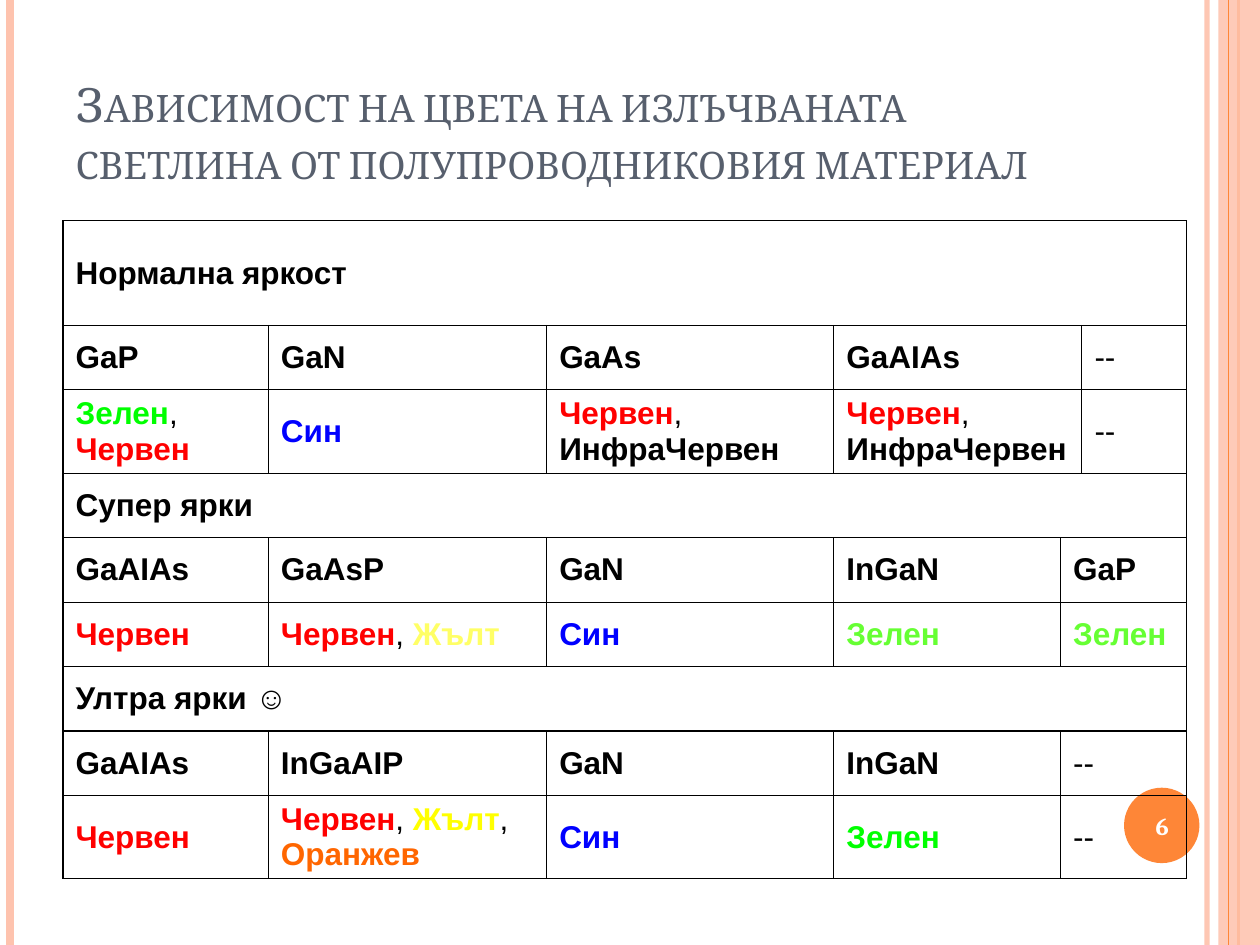
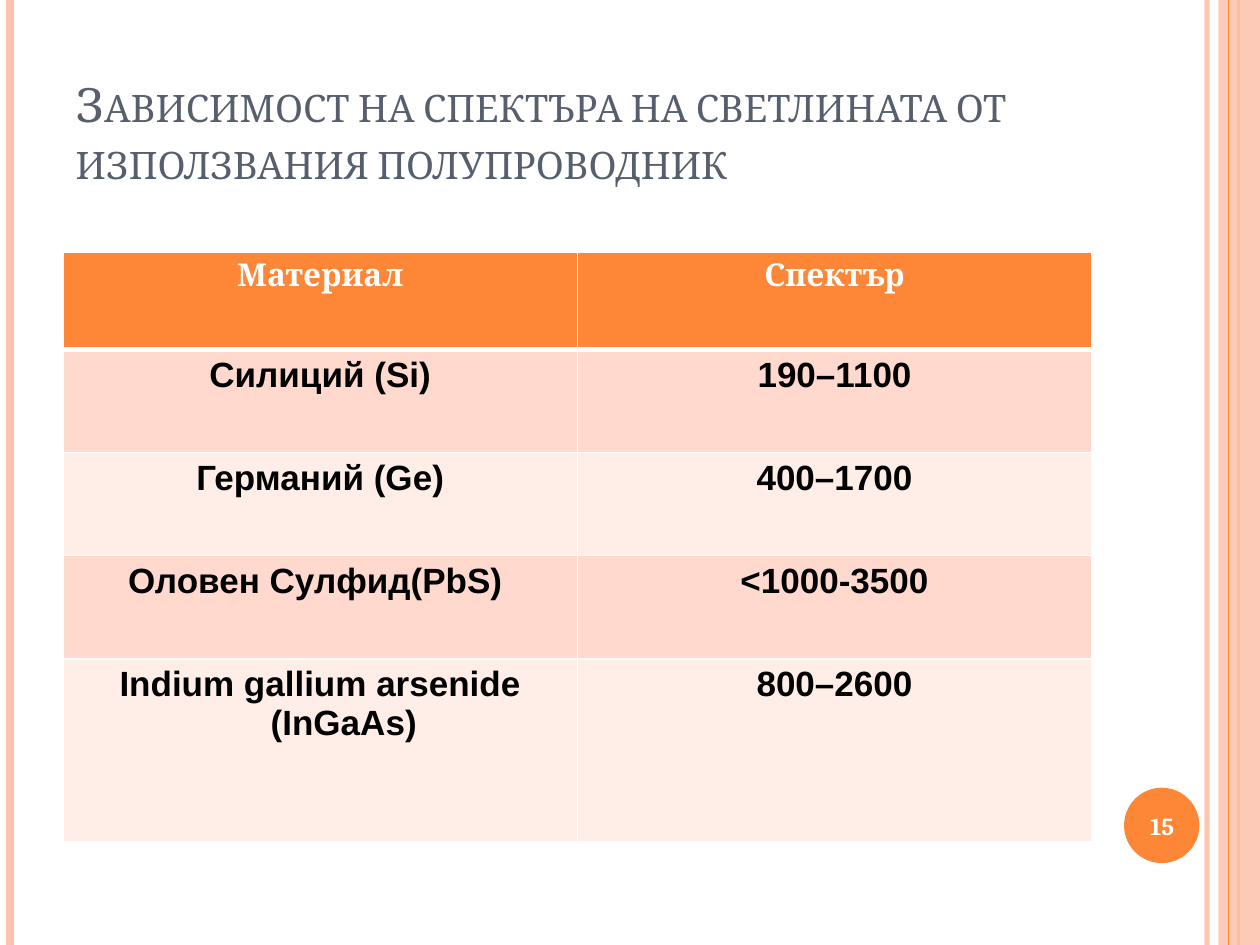
import pptx
import pptx.util
import pptx.dml.color
import pptx.enum.shapes
import pptx.enum.text
import pptx.oxml.ns
from lxml import etree

Cm = pptx.util.Cm
Pt = pptx.util.Pt
qn = pptx.oxml.ns.qn
ALIGN = pptx.enum.text.PP_ALIGN
ANCHOR = pptx.enum.text.MSO_ANCHOR
SHAPE = pptx.enum.shapes.MSO_SHAPE

COLOURS = {
    "title": "575F6D", "accent": "FE8637", "band": "FEC3AE", "white": "FFFFFF",
    "row_dark": "FFD9CE", "row_light": "FFEDE8",
    "black": "000000", "red": "FF0000", "blue": "0000FF", "green": "00FF00",
    "lime": "66FF33", "yellow": "FFFF00", "pale_yellow": "FFFF66", "orange": "FF6600",
}
WIDTH, HEIGHT = 25.4, 19.05
MARGIN = 1.27

# Cells of the LED table: a list of (text, colour) pieces; PLAIN pieces are not bold
PLAIN = "plain"
COMMA = (", ", PLAIN)
NONE = [("--", PLAIN)]
RED, BLUE = [("Червен", "red")], [("Син", "blue")]
GREEN, LIME = [("Зелен", "green")], [("Зелен", "lime")]
INFRARED = RED + [COMMA, ("ИнфраЧервен", "black")]


def bold(*labels):
    return [[(label, "black")] for label in labels]


# Each row: its cells and the column where each cell starts
FULL, NARROW_LAST, WIDE_LAST = [0], [0, 1, 2, 3, 5], [0, 1, 2, 3, 4]
LED_ROWS = [
    (FULL, bold("Нормална яркост")),
    (NARROW_LAST, bold("GaP", "GaN", "GaAs", "GaAIAs") + [NONE]),
    (NARROW_LAST, [GREEN + [COMMA] + RED, BLUE, INFRARED, INFRARED, NONE]),
    (FULL, bold("Супер ярки")),
    (WIDE_LAST, bold("GaAIAs", "GaAsP", "GaN", "InGaN", "GaP")),
    (WIDE_LAST, [RED, RED + [COMMA, ("Жълт", "pale_yellow")], BLUE, LIME, LIME]),
    (FULL, bold("Ултра ярки ☺")),
    (WIDE_LAST, bold("GaAIAs", "InGaAIP", "GaN", "InGaN") + [NONE]),
    (WIDE_LAST, [RED, RED + [COMMA, ("Жълт", "yellow"), COMMA, ("Оранжев", "orange")],
                 BLUE, GREEN, NONE]),
]
SPECTRUM_ROWS = [
    ("Материал", "Спектър"),
    ("Силиций (Si)", "190–1100"),
    ("Германий (Ge)", "400–1700"),
    ("Оловен Сулфид(PbS) ", "<1000-3500"),
    ("Indium gallium arsenide (InGaAs)", "800–2600"),
]


def rgb(name):
    return pptx.dml.color.RGBColor.from_string(COLOURS[name])


def style_font(font, face, size, colour, is_bold=False):
    font.name = face
    font.size = Pt(size)
    font.bold = is_bold
    font.color.rgb = rgb(colour)


def set_opacity(element, percent):
    colour = next(element.iter(qn("a:srgbClr")))
    etree.SubElement(colour, qn("a:alpha"), val=str(percent * 1000))


# Frame shared by the slides
def add_stripe(slide, x, colour, weight, opacity=100):
    stripe = slide.shapes.add_connector(
        pptx.enum.shapes.MSO_CONNECTOR.STRAIGHT, Cm(x), 0, Cm(x), Cm(HEIGHT))
    stripe.line.color.rgb = rgb(colour)
    stripe.line.width = Pt(weight)
    properties = stripe._element.spPr
    etree.SubElement(properties, qn("a:effectLst"))
    if opacity < 100:
        set_opacity(properties, opacity)


def add_filled(slide, preset, box, colour):
    shape = slide.shapes.add_shape(preset, *map(Cm, box))
    shape.shadow.inherit = False
    shape.fill.solid()
    shape.fill.fore_color.rgb = rgb(colour)
    shape.line.fill.background()
    return shape


def add_frame(slide):
    add_stripe(slide, 24.33, "band", 3, 93)
    add_stripe(slide, 0.2, "band", 4.5)
    add_stripe(slide, 24.97, "accent", 1.5)
    side_band = add_filled(slide, SHAPE.RECTANGLE, (24.56, 0, 0.84, HEIGHT), "band")
    set_opacity(side_band._element.spPr, 87)
    add_stripe(slide, 24.77, "accent", 0.75)
    add_filled(slide, SHAPE.OVAL, (22.66, 15.88, 1.52, 1.52), "accent")


def set_title(slide, text):
    title = slide.shapes.title
    title.left, title.top, title.width, title.height = map(Cm, (MARGIN, 0.76, 20.75, 3.18))
    frame = title.text_frame
    frame.text = text
    frame.word_wrap = True
    frame.auto_size = pptx.enum.text.MSO_AUTO_SIZE.NONE
    frame.vertical_anchor = ANCHOR.BOTTOM
    paragraph = frame.paragraphs[0]
    paragraph.alignment = ALIGN.LEFT
    run = paragraph.runs[0]
    style_font(run.font, "Cambria", 27, "title")
    run._r.get_or_add_rPr().set("cap", "small")


def add_page_number(slide, number):
    box = slide.shapes.add_textbox(*map(Cm, (22.58, 15.93, 1.7, 1.45)))
    frame = box.text_frame
    frame.text = str(number)
    frame.word_wrap = True
    frame.vertical_anchor = ANCHOR.MIDDLE
    frame.margin_left = frame.margin_right = Cm(0.1)
    frame.margin_top = frame.margin_bottom = Cm(0.1)
    paragraph = frame.paragraphs[0]
    paragraph.alignment = ALIGN.CENTER
    style_font(paragraph.runs[0].font, "Cambria", 14, "white", True)


def start_slide(deck, title):
    slide = deck.slides.add_slide(deck.slide_layouts[5])
    set_title(slide, title)
    add_frame(slide)
    return slide


# Tables
def add_grid(slide, top, widths, heights):
    table = slide.shapes.add_table(
        len(heights), len(widths), Cm(MARGIN), Cm(top),
        Cm(sum(widths)), Cm(sum(heights))).table
    table.first_row = table.horz_banding = False
    for column, width in zip(table.columns, widths):
        column.width = Cm(width)
    for row, height in zip(table.rows, heights):
        row.height = Cm(height)
    return table


def set_borders(cell, colour, left, right, top, bottom):
    properties = cell._tc.get_or_add_tcPr()
    weights = {"a:lnL": left, "a:lnR": right, "a:lnT": top, "a:lnB": bottom}
    for position, (tag, weight) in enumerate(weights.items()):
        line = etree.Element(qn(tag), w=str(Pt(weight)))
        fill = etree.SubElement(line, qn("a:solidFill"))
        etree.SubElement(fill, qn("a:srgbClr"), val=COLOURS[colour])
        properties.insert(position, line)


def add_led_table(slide):
    widths = [4.14, 5.61, 5.79, 4.57, 0.43, 2.11]
    heights = [2.11] + [1.3] * (len(LED_ROWS) - 1)
    table = add_grid(slide, 4.45, widths, heights)
    for cell in table.iter_cells():
        cell.fill.background()
        set_borders(cell, "black", 0.75, 0.75, 0.75, 0.75)
    for row, (starts, contents) in enumerate(LED_ROWS):
        ends = [start - 1 for start in starts[1:]] + [len(widths) - 1]
        for start, end, pieces in zip(starts, ends, contents):
            cell = table.cell(row, start)
            if end > start:
                cell.merge(table.cell(row, end))
            cell.vertical_anchor = ANCHOR.MIDDLE
            for text, colour in pieces:
                run = cell.text_frame.paragraphs[0].add_run()
                run.text = text
                is_plain = colour == PLAIN
                style_font(run.font, "Arial", 18, "black" if is_plain else colour,
                           not is_plain)


def add_spectrum_table(slide):
    table = add_grid(slide, 5.08, [10.37, 10.37], [1.96, 2.08, 2.08, 2.08, 3.68])
    for row, texts in enumerate(SPECTRUM_ROWS):
        is_header = row == 0
        fill = "accent" if is_header else ("row_light", "row_dark")[row % 2]
        for column, text in enumerate(texts):
            cell = table.cell(row, column)
            cell.fill.solid()
            cell.fill.fore_color.rgb = rgb(fill)
            set_borders(cell, "white", 1, 1, 3 if row == 1 else 1, 3 if is_header else 1)
            cell.text_frame.text = text
            paragraph = cell.text_frame.paragraphs[0]
            paragraph.alignment = ALIGN.CENTER
            font = paragraph.runs[0].font
            if is_header:
                style_font(font, "Cambria", 18, "white", True)
            else:
                hanging = paragraph._p.get_or_add_pPr()
                hanging.set("marL", str(Cm(0.95)))
                hanging.set("indent", str(-Cm(0.95)))
                style_font(font, "Arial", 20, "black", True)


def main():
    deck = pptx.Presentation()
    deck.slide_width, deck.slide_height = Cm(WIDTH), Cm(HEIGHT)

    # Colour by semiconductor material
    led_slide = start_slide(
        deck, "Зависимост на цвета на излъчваната светлина от полупроводниковия материал")
    add_led_table(led_slide)
    add_page_number(led_slide, 6)

    # Spectrum by semiconductor
    spectrum_slide = start_slide(
        deck, "Зависимост на спектъра на светлината от използвания полупроводник")
    add_spectrum_table(spectrum_slide)
    add_page_number(spectrum_slide, 15)

    deck.save("out.pptx")


if __name__ == "__main__":
    main()
